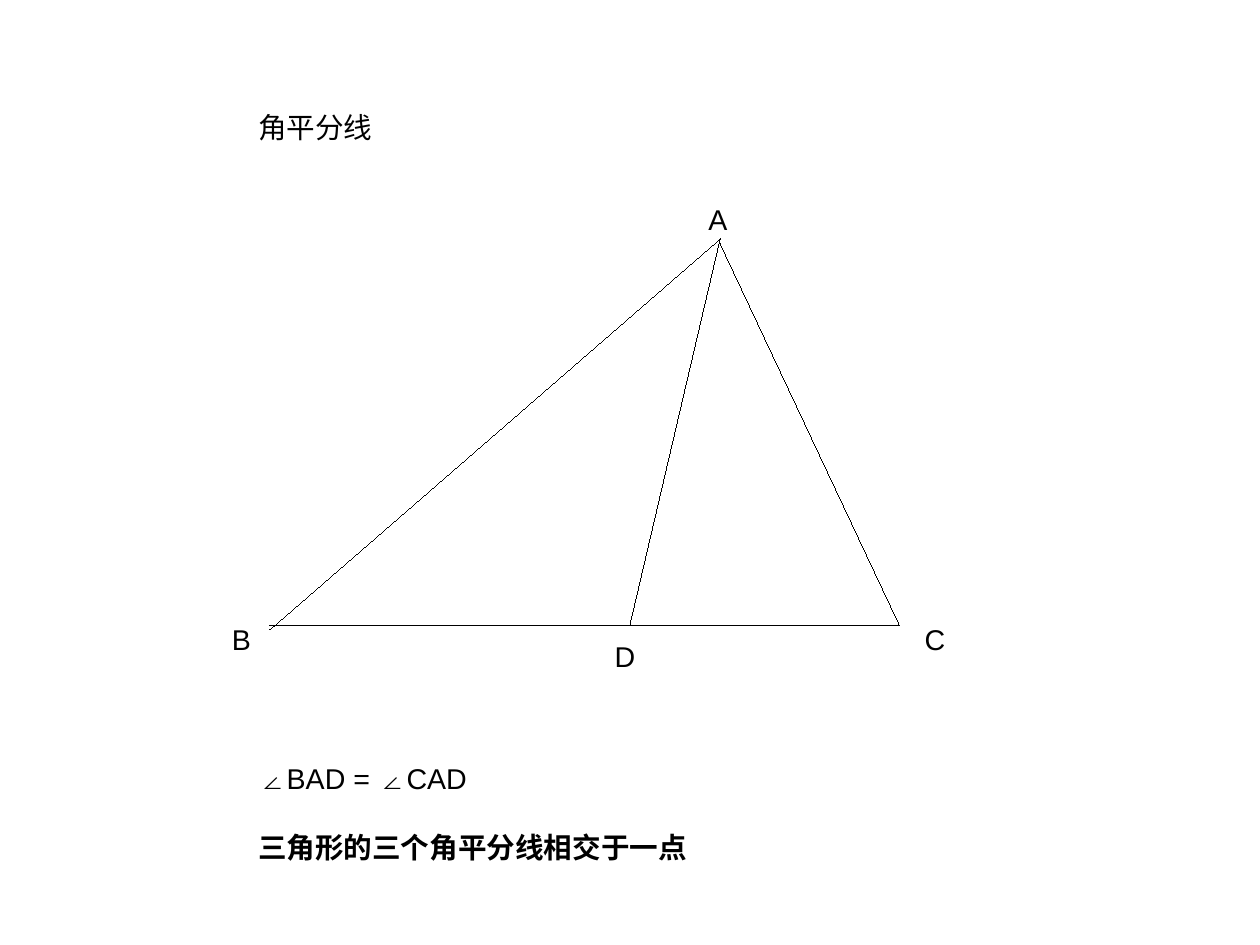
from lxml import etree
from pptx import Presentation
from pptx.dml.color import RGBColor
from pptx.enum.shapes import MSO_CONNECTOR as Connector
from pptx.enum.text import MSO_AUTO_SIZE as AutoSize
from pptx.oxml.ns import qn
from pptx.util import Inches, Pt

BLACK = "000000"
CM_PER_INCH = 2.54
TEXT_FORMAT = {"name": "Arial", "size": Pt(18)}


def color(hex_value):
    return RGBColor.from_string(hex_value)


def add_label(page, left, top, width, height, lines):
    """Add an unwrapped text box; lines holds (text, bold, space before)."""
    box = page.shapes.add_textbox(*map(Inches, (left, top, width, height)))
    frame = box.text_frame
    frame.word_wrap = False
    frame.auto_size = AutoSize.SHAPE_TO_FIT_TEXT
    for index, (text, bold, space) in enumerate(lines):
        para = frame.add_paragraph() if index else frame.paragraphs[0]
        if space:
            para.space_before = Pt(space)
        span = para.add_run()
        span.text = text
        for name, value in TEXT_FORMAT.items():
            setattr(span.font, name, value)
        span.font.bold = bold
        span.font.color.rgb = color(BLACK)


deck = Presentation()
deck.slide_width = Inches(28 / CM_PER_INCH)
deck.slide_height = Inches(21 / CM_PER_INCH)
page = deck.slides.add_slide(deck.slide_layouts[6])

# Triangle sides AB, AC, BC and the bisector AD
segments = [
    ((6.3, 2.09), (2.36, 5.51)),
    ((6.3, 2.13), (7.87, 5.47)),
    ((2.36, 5.47), (7.87, 5.47)),
    ((6.3, 2.09), (5.51, 5.47)),
]
for start, end in segments:
    side = page.shapes.add_connector(Connector.STRAIGHT, *map(Inches, start + end))
    side.line.color.rgb = color(BLACK)
    # A zero width must be written out, or the theme's width applies
    side._element.spPr.find(qn("a:ln")).set("w", "0")
    etree.SubElement(side._element.spPr, qn("a:effectLst"))

# Title and vertex names
labels = [
    ("角平分线", 2.16, 0.91, 1.2, 0.46),
    ("A", 6.1, 1.72, 0.36, 0.38),
    ("B", 1.93, 5.39, 0.36, 0.38),
    ("C", 7.99, 5.39, 0.38, 0.38),
    ("D", 5.28, 5.54, 0.38, 0.38),
]
for text, *place in labels:
    add_label(page, *place, [(text, False, 0)])

# Equal angles and the theorem
add_label(page, 2.16, 6.61, 4.05, 1.02, [
    ("∠BAD = ∠CAD", False, 0),
    ("三角形的三个角平分线相交于一点", True, 22),
])

deck.save("out.pptx")
